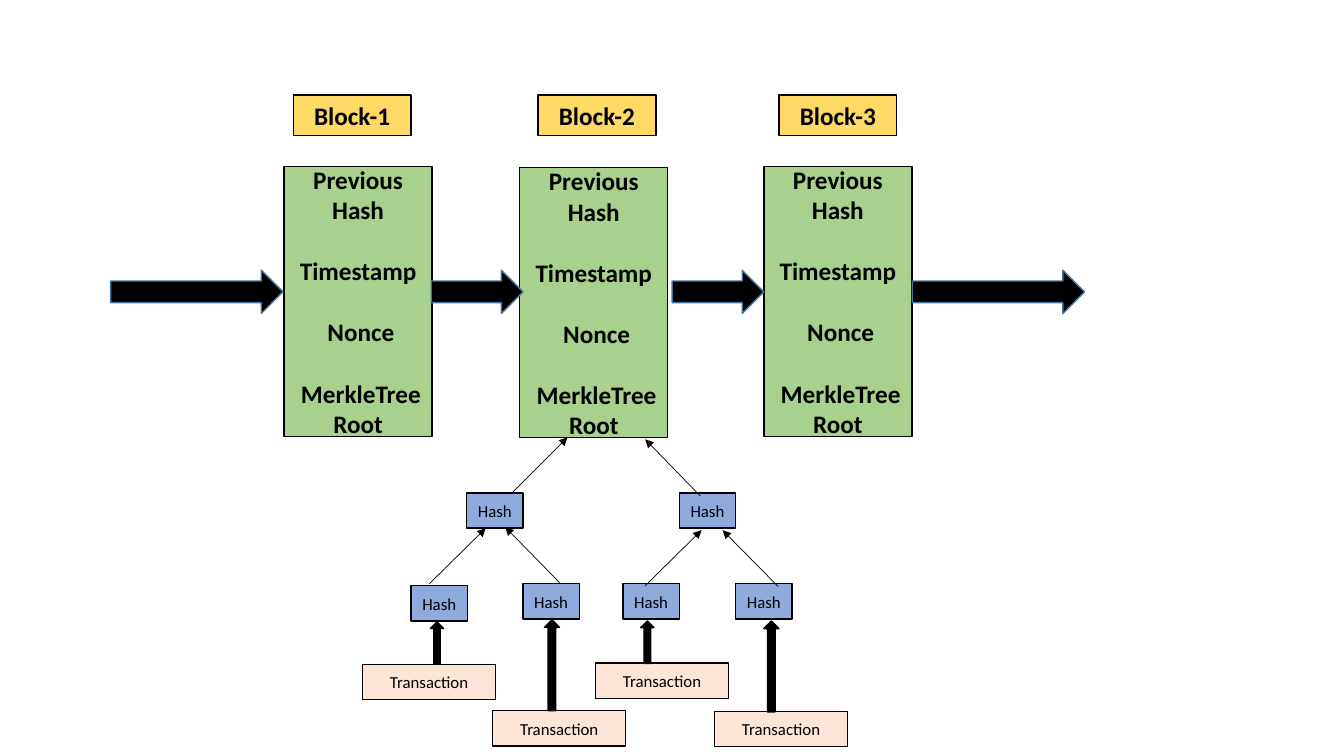
"""Build a slide of three chained blocks with the Merkle tree of the middle one."""
from lxml import etree
from pptx import Presentation
from pptx.dml.color import RGBColor
from pptx.enum import shapes, text
from pptx.oxml import ns
from pptx.util import Cm, Pt

BLACK = RGBColor(0x00, 0x00, 0x00)
GREEN = RGBColor(0xA9, 0xD1, 0x8E)
YELLOW = RGBColor(0xFF, 0xD9, 0x66)
BLUE = RGBColor(0x8F, 0xAA, 0xDC)
PEACH = RGBColor(0xFB, 0xE5, 0xD6)
ARROW_EDGE = RGBColor(0x43, 0x73, 0x9E)
KINDS = shapes.MSO_SHAPE

deck = Presentation()
deck.slide_width, deck.slide_height = Cm(33.87), Cm(19.05)
slide = deck.slides.add_slide(deck.slide_layouts[6])


def add_part(kind, left, top, width, height, fill, edge=BLACK):
    part = slide.shapes.add_shape(kind, Cm(left), Cm(top), Cm(width), Cm(height))
    part.shadow.inherit = False
    part.fill.solid()
    part.fill.fore_color.rgb = fill
    part.line.color.rgb = edge
    part.line.width = Pt(1)
    return part


def write(part, lines, size, bold=False, gap=0):
    frame = part.text_frame
    frame.word_wrap = True
    frame.vertical_anchor = text.MSO_ANCHOR.MIDDLE
    for index, line in enumerate(lines):
        paragraph = frame.add_paragraph() if index else frame.paragraphs[0]
        paragraph.text = line
        paragraph.alignment = text.PP_ALIGN.CENTER
        paragraph.space_before = Pt(gap if index else 0)
        paragraph.font.name = "Calibri"
        paragraph.font.size = Pt(size)
        paragraph.font.bold = bold
        paragraph.font.color.rgb = BLACK


block_fields = ["Previous Hash", "Timestamp", " Nonce", " MerkleTree Root"]
for left, top in [(7.16, 4.19), (13.1, 4.22), (19.25, 4.19)]:
    block = add_part(KINDS.FLOWCHART_PROCESS, left, top, 3.73, 6.81, GREEN)
    write(block, block_fields, 18, bold=True, gap=22)

for left, width in [(2.79, 4.34), (10.87, 2.31), (16.94, 2.31), (22.99, 4.34)]:
    add_part(KINDS.RIGHT_ARROW, left, 6.81, width, 1.09, BLACK, ARROW_EDGE)

for number, left in enumerate([7.39, 13.56, 19.63], start=1):
    block_label = add_part(KINDS.RECTANGLE, left, 2.39, 2.97, 1.02, YELLOW)
    write(block_label, [f"Block-{number}"], 18, bold=True)

hash_places = [(11.76, 12.42), (17.12, 12.42),
               (10.36, 14.76), (13.18, 14.71), (15.7, 14.71), (18.54, 14.71)]
for left, top in hash_places:
    write(add_part(KINDS.RECTANGLE, left, top, 1.42, 0.89, BLUE), ["Hash"], 12)

tree_links = [(12.9, 12.42, 14.3, 11.02), (17.65, 12.5, 16.26, 11.07),
              (10.82, 14.71, 12.24, 13.31), (14.1, 14.68, 12.73, 13.28),
              (16.26, 14.76, 17.68, 13.36), (19.61, 14.78, 18.21, 13.36)]
for ends in tree_links:
    link = slide.shapes.add_connector(shapes.MSO_CONNECTOR.STRAIGHT, *map(Cm, ends))
    link.line.color.rgb = BLACK
    link.line.width = Pt(0.5)
    etree.SubElement(link.line._get_or_add_ln(), ns.qn("a:tailEnd"), type="triangle")
    etree.SubElement(link._element.spPr, ns.qn("a:effectLst"))

for left, top in [(9.14, 16.74), (12.42, 17.91), (15.01, 16.71), (18.01, 17.93)]:
    transaction = add_part(KINDS.RECTANGLE, left, top, 3.35, 0.89, PEACH)
    write(transaction, ["Transaction"], 12)

transaction_arrows = [(10.85, 15.67, 0.33, 1.07), (13.72, 15.62, 0.38, 2.29),
                      (16.15, 15.65, 0.33, 1.07), (19.25, 15.65, 0.38, 2.29)]
for place in transaction_arrows:
    add_part(KINDS.UP_ARROW, *place, BLACK)

deck.save("out.pptx")
